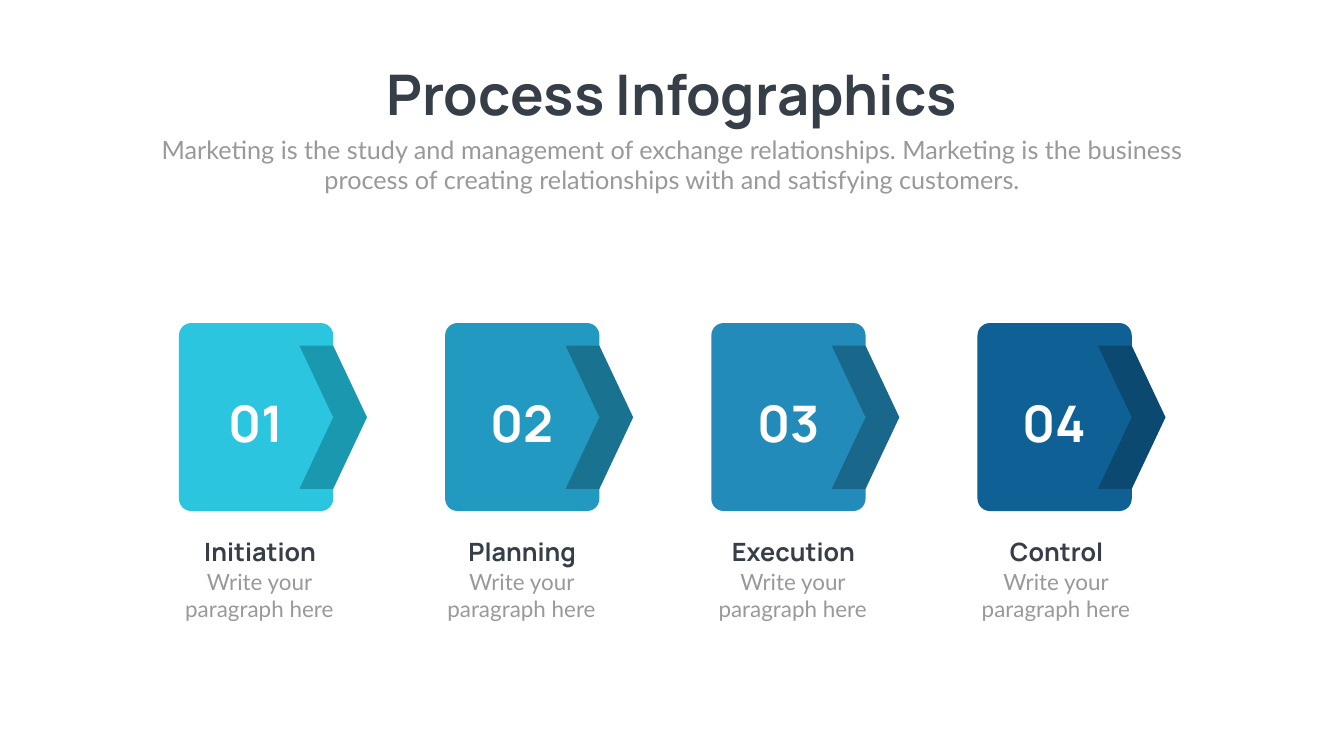
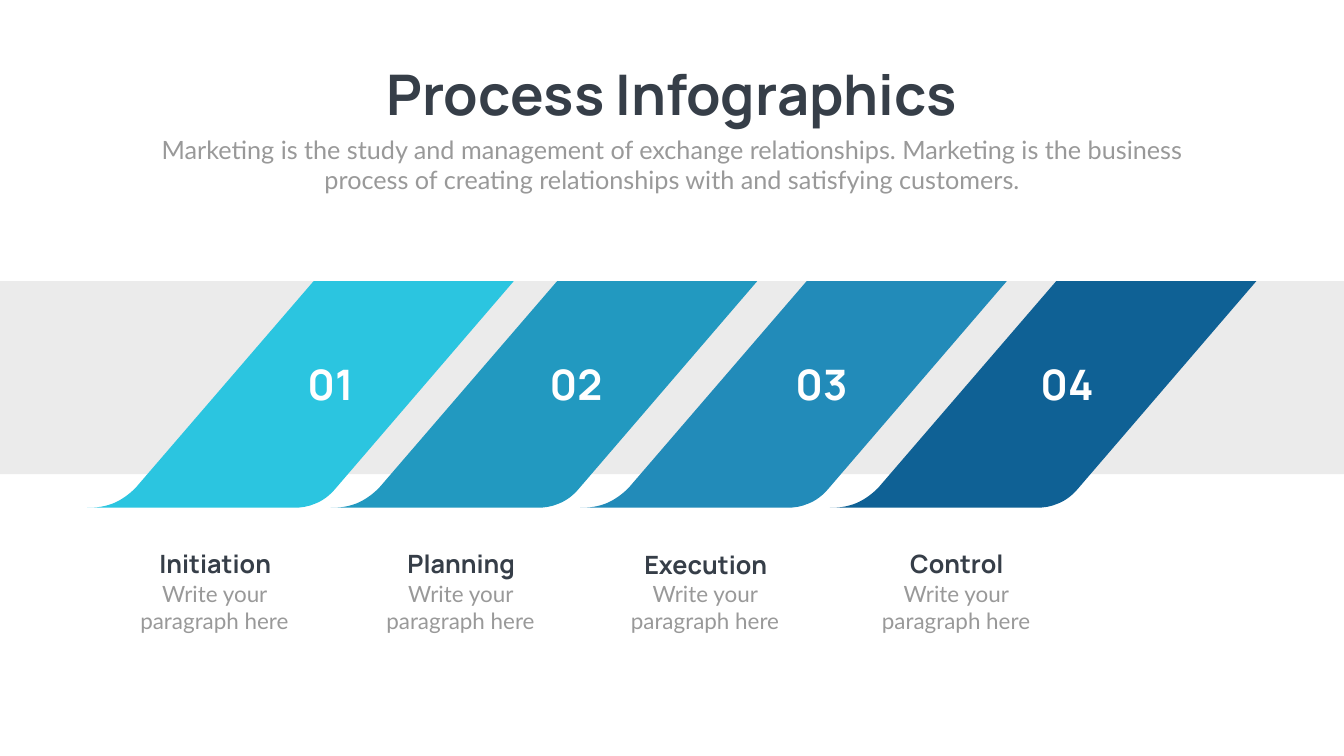
from lxml import etree
from pptx import Presentation
from pptx import util as u
from pptx.dml.color import RGBColor
from pptx.enum import shapes, text
from pptx.oxml import ns

PX = u.Inches(0.01)
SLIDE_W, SLIDE_H = 2666, 1500

INK = RGBColor(0x36, 0x3E, 0x48)
GREY = RGBColor(0x99, 0x99, 0x99)
BAND = RGBColor(0xEB, 0xEB, 0xEB)
WHITE = RGBColor(0xFF, 0xFF, 0xFF)
CYAN, CYAN_DARK = RGBColor(0x2B, 0xC5, 0xE0), RGBColor(0x1A, 0x98, 0xAF)
TEAL, TEAL_DARK = RGBColor(0x22, 0x99, 0xC0), RGBColor(0x19, 0x73, 0x90)
BLUE, BLUE_DARK = RGBColor(0x22, 0x8B, 0xB9), RGBColor(0x19, 0x68, 0x8B)
NAVY, NAVY_DARK = RGBColor(0x0F, 0x61, 0x95), RGBColor(0x0B, 0x49, 0x70)

HEAD_FONT, BODY_FONT = "Manrope", "Lato"
TITLE = "Process Infographics"
SUBTITLE = ("Marketing is the study and management of exchange relationships. "
            "Marketing is the business process of creating relationships with "
            "and satisfying customers.")
BODY = "Write your paragraph here"
STEPS = [
    ("01", "Initiation", CYAN, CYAN_DARK),
    ("02", "Planning", TEAL, TEAL_DARK),
    ("03", "Execution", BLUE, BLUE_DARK),
    ("04", "Control", NAVY, NAVY_DARK),
]

CARD_CAPTIONS = [345, 865, 1403, 1925]
RIBBON_LEFTS = [173, 656, 1151, 1646]
RIBBON_CAPTIONS = [(256, 1083), (744, 1083), (1229, 1084), (1727, 1083)]
RIBBON_START = (0, 449)
RIBBON_SEGMENTS = [
    [(18, 450), (35, 447), (51, 441)],
    [(68, 434), (83, 423), (96, 410)],
    [(449, 0)],
    [(846, 0)],
    [(492, 412)],
    [(481, 425), (468, 435), (453, 441)],
    [(439, 447), (424, 450), (409, 449)],
    [RIBBON_START],
]


def emu(*lengths):
    """Turn px lengths into EMU."""
    return [n * PX for n in lengths]


def add_text(parent, box, content, size, color=INK, font=HEAD_FONT, bold=True, wrap=True):
    """Add a centred, single-run text box."""
    tf = parent.add_textbox(*emu(*box)).text_frame
    tf.word_wrap = wrap
    tf.auto_size = text.MSO_AUTO_SIZE.SHAPE_TO_FIT_TEXT
    p = tf.paragraphs[0]
    p.alignment = text.PP_ALIGN.CENTER
    r = p.add_run()
    r.text = content
    r.font.name, r.font.size, r.font.bold = font, u.Pt(size), bold
    r.font.color.rgb = color


def paint(sp, color):
    """Give a shape a flat fill without line or shadow."""
    sp.shadow.inherit = False
    sp.fill.solid()
    sp.fill.fore_color.rgb = color
    sp.line.fill.background()
    return sp


def add_block(parent, kind, box, color):
    """Add a flat preset shape."""
    return paint(parent.add_shape(kind, *emu(*box)), color)


def add_header(parent):
    """Add the title and subtitle shared by the slides."""
    add_text(parent, (717, 114, 1232, 145), TITLE, 80, wrap=False)
    add_text(parent, (292, 261, 2082, 131), SUBTITLE, 36, GREY, BODY_FONT, False)


def add_caption(parent, x, y, heading):
    """Add a step heading with its paragraph below."""
    add_text(parent, (x + 3, y, 336, 71), heading, 36)
    add_text(parent, (x, y + 63, 339, 118), BODY, 32, GREY, BODY_FONT, False)


def add_card(parent, x, y, color, dark):
    """Add a rounded card with a chevron over its right edge."""
    card = add_block(parent, shapes.MSO_SHAPE.ROUNDED_RECTANGLE, (x, y, 306, 373), color)
    card.adjustments[0] = 0.08
    add_block(parent, shapes.MSO_SHAPE.CHEVRON, (x + 239, y + 45, 134, 284), dark)


def add_ribbon(parent, x, y, color):
    """Add a slanted ribbon with a curled foot."""
    builder = parent.build_freeform(x + RIBBON_START[0], y + RIBBON_START[1], scale=PX)
    ends = [segment[-1] for segment in RIBBON_SEGMENTS]
    builder.add_line_segments([(x + dx, y + dy) for dx, dy in ends], close=True)
    sp = paint(builder.convert_to_shape(), color)
    lines = list(sp.element.iter(ns.qn("a:lnTo")))
    for line, segment in zip(lines, RIBBON_SEGMENTS):
        if len(segment) == 3:
            curve = etree.Element(ns.qn("a:cubicBezTo"))
            for dx, dy in segment:
                etree.SubElement(curve, ns.qn("a:pt"), x=str(dx), y=str(dy))
            line.getparent().replace(line, curve)


def build_cards(slide):
    """Build the slide with four arrow cards."""
    parent = slide.shapes
    add_header(parent)
    for i, (number, heading, color, dark) in enumerate(STEPS):
        x = 355 + i * 528
        add_card(parent, x, 641, color, dark)
        add_text(parent, (x + 59, 773, 188, 131), number, 72, WHITE)
        add_caption(parent, CARD_CAPTIONS[i], 1059, heading)


def build_ribbons(slide):
    """Build the slide with four ribbons across a band."""
    parent = slide.shapes
    add_header(parent)
    add_block(parent, shapes.MSO_SHAPE.RECTANGLE, (0, 558, SLIDE_W, 383), BAND)
    for x, (_, _, color, _) in reversed(list(zip(RIBBON_LEFTS, STEPS))):
        add_ribbon(parent, x, 558, color)
    for i, (number, heading, _, _) in enumerate(STEPS):
        add_text(parent, (561 + i * 487, 707, 189, 111), number, 60, WHITE)
        add_caption(parent.add_group_shape().shapes, *RIBBON_CAPTIONS[i], heading)


def main():
    """Build and save the deck."""
    prs = Presentation()
    prs.slide_width, prs.slide_height = emu(SLIDE_W, SLIDE_H)
    for build in (build_cards, build_ribbons):
        build(prs.slides.add_slide(prs.slide_layouts[6]))
    prs.save("out.pptx")


if __name__ == "__main__":
    main()
